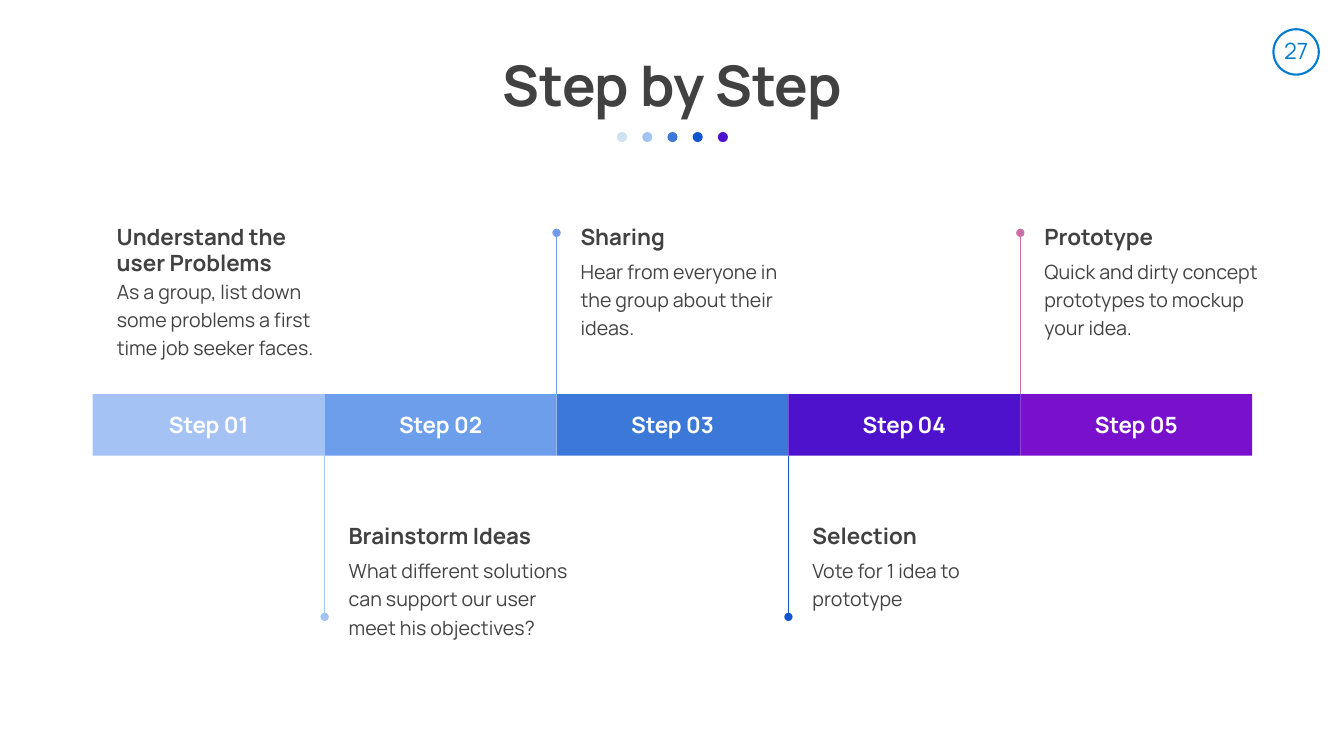
from lxml import etree
from pptx import Presentation
from pptx.dml.color import RGBColor
from pptx.enum.shapes import MSO_CONNECTOR, MSO_SHAPE
from pptx.enum.text import MSO_ANCHOR, PP_ALIGN
from pptx.oxml.ns import qn
from pptx.util import Inches, Pt

OVAL, RECT = MSO_SHAPE.OVAL, MSO_SHAPE.RECTANGLE
LINE = MSO_CONNECTOR.STRAIGHT
TOP, MIDDLE = MSO_ANCHOR.TOP, MSO_ANCHOR.MIDDLE
LEFT, CENTER = PP_ALIGN.LEFT, PP_ALIGN.CENTER

WHITE = RGBColor(0xFF, 0xFF, 0xFF)
DARK = RGBColor(0x41, 0x41, 0x41)
GRAY = RGBColor(0x43, 0x43, 0x43)
CYAN = RGBColor(0x02, 0x7C, 0xD0)
ICE = RGBColor(0xCF, 0xE2, 0xF3)
PALE = RGBColor(0xA4, 0xC2, 0xF4)
SKY = RGBColor(0x6D, 0x9E, 0xEB)
BLUE = RGBColor(0x3C, 0x78, 0xD8)
NAVY = RGBColor(0x11, 0x55, 0xCC)
INDIGO = RGBColor(0x4E, 0x11, 0xCC)
PURPLE = RGBColor(0x79, 0x11, 0xCC)
PINK = RGBColor(0xC8, 0x6E, 0xAA)

BAR_X, BAR_Y, BAR_W, BAR_H = 0.92, 3.91, 2.3, 0.61
STEM = 1.6
DOT_X, DOT_GAP = 6.12, 0.25
# Bar colour, stem colour, heading, body, extra drop of the body
STEPS = [
    (PALE, None, "Understand the user Problems",
     "As a group, list down some problems a first time job seeker faces.", 0.2),
    (SKY, PALE, "Brainstorm Ideas",
     "What different solutions can support our user meet his objectives?", 0),
    (BLUE, SKY, "Sharing",
     "Hear from everyone in the group about their ideas.", 0),
    (INDIGO, NAVY, "Selection", "Vote for 1 idea to prototype", 0),
    (PURPLE, PINK, "Prototype",
     "Quick and dirty concept prototypes to mockup your idea.", 0),
]


class Deck:
    font = "Manrope"
    head = {"size": Pt(16), "bold": True}
    body = {"size": Pt(14), "bold": False}

    def __init__(self):
        self.prs = Presentation()
        self.prs.slide_width = Inches(13.33)
        self.prs.slide_height = Inches(7.5)
        self.slide = self.prs.slides.add_slide(self.prs.slide_layouts[5])

    def label(self, shape, text, look, color, align=LEFT, anchor=TOP, gap=1.0):
        frame = shape.text_frame
        frame.word_wrap = True
        frame.vertical_anchor = anchor
        frame.text = text
        para = frame.paragraphs[0]
        para.alignment = align
        para.line_spacing = gap
        font = para.runs[0].font
        for key, value in {"name": self.font, **look}.items():
            setattr(font, key, value)
        font.color.rgb = color

    def title(self, text, *box):
        shape = self.slide.shapes.title
        for key, value in zip(("left", "top", "width", "height"), box):
            setattr(shape, key, Inches(value))
        self.label(shape, text, {"size": Pt(40), "bold": True}, DARK, CENTER)

    def text(self, box, *args, **opts):
        shape = self.slide.shapes.add_textbox(*map(Inches, box))
        self.label(shape, *args, **opts)

    def shape(self, kind, box, fill=None, line=None):
        shape = self.slide.shapes.add_shape(kind, *map(Inches, box))
        shape.shadow.inherit = False
        if fill is None:
            shape.fill.background()
        else:
            shape.fill.solid()
            shape.fill.fore_color.rgb = fill
        if line is None:
            shape.line.fill.background()
        else:
            shape.line.color.rgb = line
            shape.line.width = Pt(1.5)
        return shape

    def stem(self, x, start, end, color):
        """Draw an upright line with a round dot at its end."""
        ends = map(Inches, (x, start, x, end))
        stem = self.slide.shapes.add_connector(LINE, *ends)
        stem.line.color.rgb = color
        stem.line.width = Pt(0.75)
        props = stem.element.spPr
        etree.SubElement(props.find(qn("a:ln")), qn("a:tailEnd"), type="oval")
        etree.SubElement(props, qn("a:effectLst"))


def main():
    deck = Deck()
    deck.shape(OVAL, (12.63, 0.29, 0.45, 0.45), line=CYAN)
    deck.text((12.6, 0.32, 0.51, 0.37), "27", {"size": Pt(16)}, CYAN,
              align=CENTER, anchor=MIDDLE)
    deck.title("Step by Step", 4.85, 0.45, 3.64, 0.77)
    for i, color in enumerate((ICE, PALE, BLUE, NAVY, INDIGO)):
        deck.shape(OVAL, (DOT_X + DOT_GAP * i, 1.31, 0.1, 0.1), color)

    for i, (fill, _, head, body, drop) in enumerate(STEPS):
        x = BAR_X + BAR_W * i
        bar = deck.shape(RECT, (x, BAR_Y, BAR_W, BAR_H), fill)
        deck.label(bar, f"Step {i + 1:02}", deck.head, WHITE, CENTER, MIDDLE)
        y = 5.13 if i % 2 else 2.16
        deck.text((x + 0.14, y, 2.06, 0.37), head, deck.head, DARK)
        deck.text((x + 0.14, y + 0.32 + drop, 2.49, 0.83), body, deck.body,
                  GRAY, gap=1.2)

    for i, (_, color, *_) in enumerate(STEPS):
        if color is None:
            continue
        start, way = (BAR_Y + BAR_H, STEM) if i % 2 else (BAR_Y, -STEM)
        deck.stem(BAR_X + BAR_W * i, start, start + way, color)
    deck.prs.save("out.pptx")


if __name__ == "__main__":
    main()
